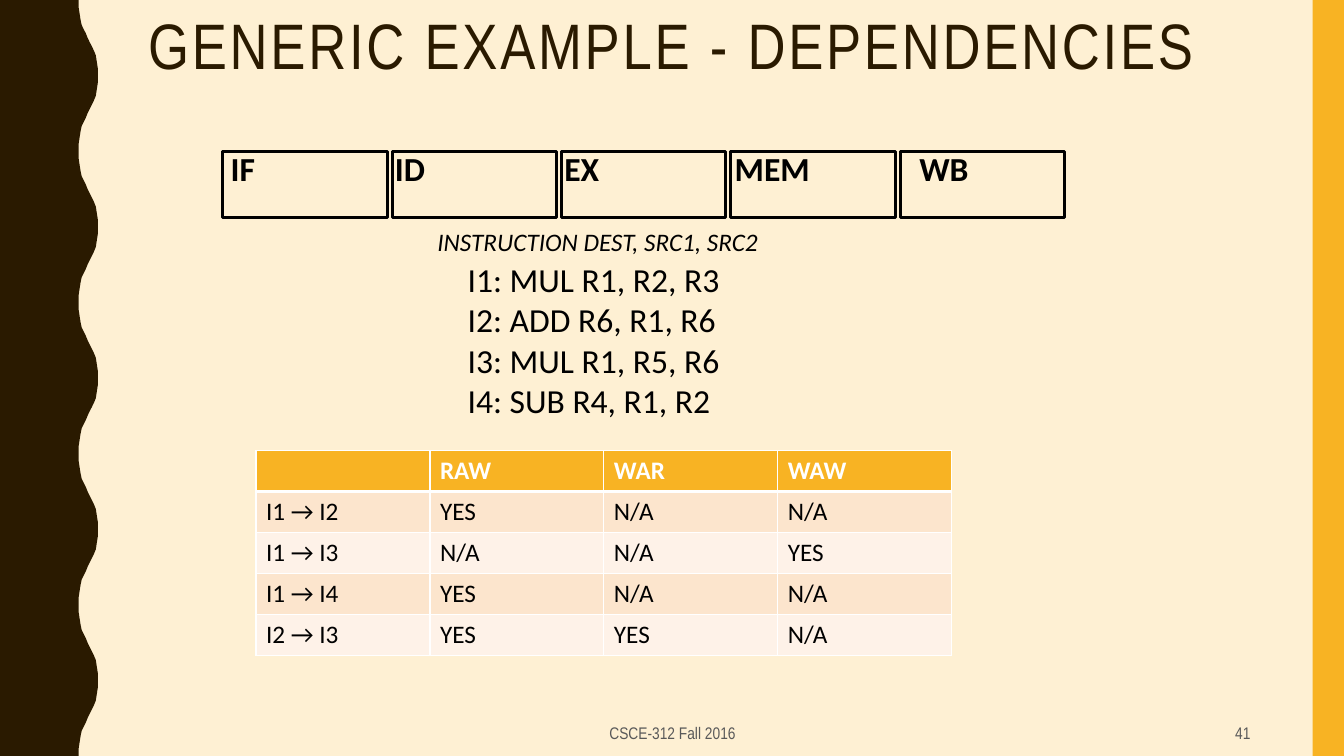
from dataclasses import dataclass
from typing import NamedTuple

from lxml.etree import SubElement
from pptx import Presentation
from pptx.dml.color import RGBColor
from pptx.enum.shapes import MSO_SHAPE
from pptx.enum.text import MSO_ANCHOR, PP_ALIGN
from pptx.oxml.ns import qn
from pptx.util import Emu, Inches, Pt

BROWN, GOLD, CREAM = "2A1A00", "F8B323", "FEF0D3"
BLACK, WHITE, GREY = "000000", "FFFFFF", "595959"
BAND_DARK, BAND_LIGHT = "FCE5CD", "FEF2E8"
HEADING_FONT, BODY_FONT = "Arial Narrow", "Calibri"

deck = Presentation()
deck.slide_width, deck.slide_height = Inches(13.33), Inches(7.5)
slide = deck.slides.add_slide(deck.slide_layouts[6])


class Area(NamedTuple):
    """Place on the slide, in percent of its width and height."""
    left: float
    top: float
    width: float
    height: float


@dataclass
class Stage:
    name: str
    label_shift: float
    label_width: float


def color(hex_code: str) -> RGBColor:
    return RGBColor.from_string(hex_code)


def across(percent: float) -> Emu:
    return Emu(round(deck.slide_width * percent / 100))


def down(percent: float) -> Emu:
    return Emu(round(deck.slide_height * percent / 100))


def place(area: Area) -> tuple:
    return across(area.left), down(area.top), across(area.width), down(area.height)


def write(frame, text: str, *, size: float, font: str = BODY_FONT, ink: str = BLACK,
          bold: bool = False, italic: bool = False, align=PP_ALIGN.LEFT,
          line_spacing: float = 1.0, tracking: float = 0) -> None:
    for number, line in enumerate(text.split("\n")):
        paragraph = frame.add_paragraph() if number else frame.paragraphs[0]
        paragraph.alignment = align
        paragraph.line_spacing = line_spacing
        run = paragraph.add_run()
        run.text = line
        run.font.size, run.font.name = Pt(size), font
        run.font.bold, run.font.italic = bold, italic
        run.font.color.rgb = color(ink)
        if tracking:
            run.font._element.set("spc", str(round(tracking * 100)))


def add_text(area: Area, text: str, *, wrap: bool = False,
             anchor=MSO_ANCHOR.TOP, **text_format) -> None:
    frame = slide.shapes.add_textbox(*place(area)).text_frame
    frame.word_wrap = wrap
    frame.vertical_anchor = anchor
    write(frame, text, **text_format)


def paint(shape, fill: str) -> None:
    shape.shadow.inherit = False
    shape.fill.solid()
    shape.fill.fore_color.rgb = color(fill)
    shape.line.fill.background()


def add_wave() -> None:
    """Left band whose edge repeats one mirrored half wave."""
    half_wave = [(5.85, 0), (5.85, 0.93), (5.93, 1.87), (6, 2.67), (6.08, 3.33),
                 (6.23, 3.87), (6.38, 4.4), (6.53, 5.07), (6.68, 5.6), (6.83, 6.13),
                 (6.98, 6.67), (7.13, 7.33), (7.2, 8.13), (7.28, 9.07), (7.28, 10)]
    wave = half_wave + [(x, 20 - y) for x, y in reversed(half_wave[:-1])]
    edge = [(across(x), down(y + start)) for start in range(0, 100, 20) for x, y in wave]
    builder = slide.shapes.build_freeform(0, 0)
    builder.add_line_segments(edge + [(0, down(100))], close=True)
    paint(builder.convert_to_shape(), BROWN)


def add_stage(stage: Stage, left: float) -> None:
    box = slide.shapes.add_shape(MSO_SHAPE.RECTANGLE, *place(Area(left, 20, 12.23, 8.8)))
    box.shadow.inherit = False
    box.fill.background()
    box.line.color.rgb = color(BLACK)
    box.line.width = Pt(2)
    add_text(Area(left + stage.label_shift, 18.93, stage.label_width, 6.67),
             stage.name, size=24, bold=True)


def add_border(cell, side: str, width: float) -> None:
    line = SubElement(cell._tc.get_or_add_tcPr(), qn(f"a:ln{side}"), w=str(Pt(width)))
    SubElement(SubElement(line, qn("a:solidFill")), qn("a:srgbClr"), val=WHITE)


def add_dependency_table(area: Area, rows: list) -> None:
    table = slide.shapes.add_table(len(rows), len(rows[0]), *place(area)).table
    for column in table.columns:
        column.width = across(area.width / len(rows[0]))
    for r, row in enumerate(rows):
        table.rows[r].height = down(area.height / len(rows))
        header = r == 0
        fill = GOLD if header else BAND_DARK if r % 2 else BAND_LIGHT
        for c, value in enumerate(row):
            cell = table.cell(r, c)
            for side in "LRTB":
                thick = (r, side) in ((0, "B"), (1, "T"))
                add_border(cell, side, 3 if thick else 1)
            cell.fill.solid()
            cell.fill.fore_color.rgb = color(fill)
            if value:
                write(cell.text_frame, value, size=18, bold=header,
                      ink=WHITE if header else BLACK)


# Background and side bands
slide.background.fill.solid()
slide.background.fill.fore_color.rgb = color(CREAM)
add_wave()
paint(slide.shapes.add_shape(MSO_SHAPE.RECTANGLE, *place(Area(97.67, 0, 2.33, 100))), GOLD)

# Title
add_text(Area(10.28, 1.07, 86.8, 10.67), "GENERIC EXAMPLE - DEPENDENCIES", wrap=True,
         anchor=MSO_ANCHOR.MIDDLE, size=45.9, font=HEADING_FONT, ink=BROWN,
         line_spacing=0.9, tracking=2)

# Pipeline stages
STAGES = [Stage("IF", -0.15, 3.9), Stage("ID", -0.53, 4.35), Stage("EX", -0.53, 5.18),
          Stage("MEM", -0.45, 7.58), Stage("WB", 0.68, 6.23)]
for position, stage in enumerate(STAGES):
    add_stage(stage, 16.58 + 12.6 * position)

# Instructions
add_text(Area(31.81, 29.33, 25.66, 5.33), "INSTRUCTION DEST, SRC1, SRC2",
         size=18, italic=True)
add_text(Area(34.06, 33.6, 20.71, 22.93),
         "I1: MUL R1, R2, R3\nI2: ADD R6, R1, R6\nI3: MUL R1, R5, R6\nI4: SUB R4, R1, R2",
         size=24)

# Dependencies
add_dependency_table(Area(19.05, 59.6, 51.76, 27.07), [
    ["", "RAW", "WAR", "WAW"],
    ["I1 → I2", "YES", "N/A", "N/A"],
    ["I1 → I3", "N/A", "N/A", "YES"],
    ["I1 → I4", "YES", "N/A", "N/A"],
    ["I2 → I3", "YES", "YES", "N/A"],
])

# Footer
for area, text, align in [
    (Area(33.16, 94.4, 33.76, 5.07), "CSCE-312 Fall 2016", PP_ALIGN.CENTER),
    (Area(70.67, 94.4, 23.11, 5.07), "41", PP_ALIGN.RIGHT),
]:
    add_text(area, text, wrap=True, anchor=MSO_ANCHOR.MIDDLE, size=12,
             font=HEADING_FONT, ink=GREY, align=align)

deck.save("out.pptx")
